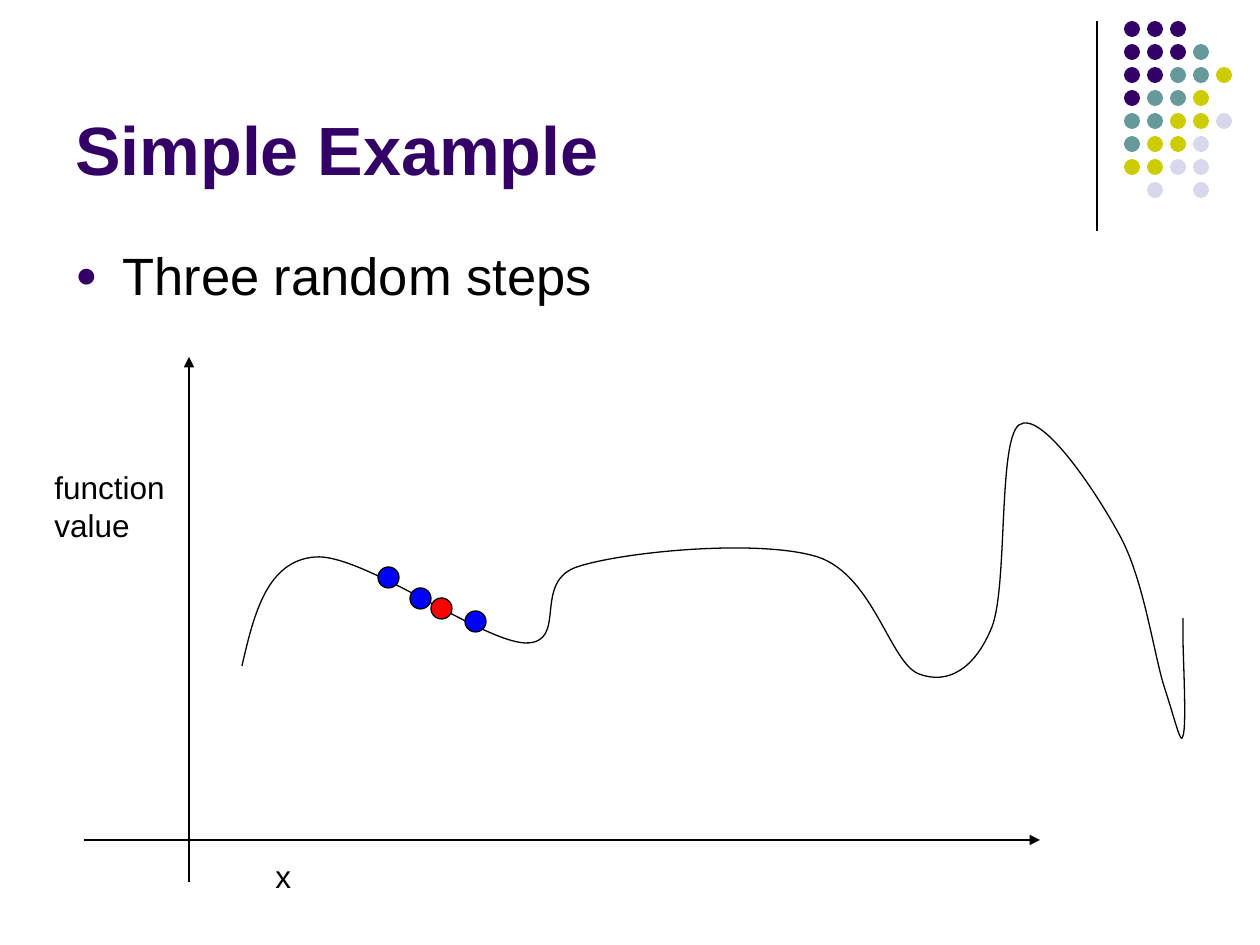
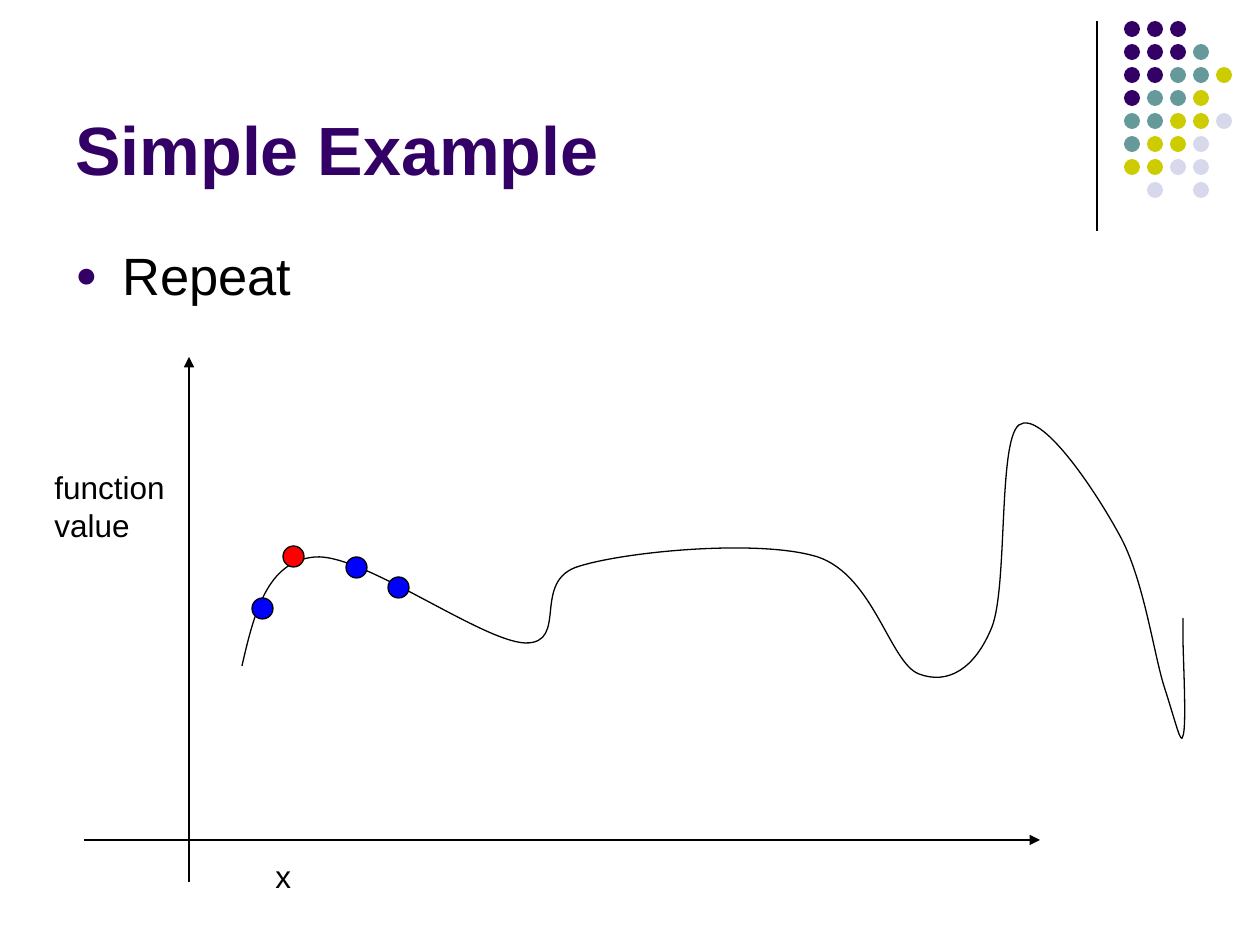
from lxml import etree
from pptx import Presentation
from pptx import util as u
from pptx.dml.color import RGBColor
from pptx.enum import shapes, text
from pptx.oxml.ns import qn

EMU_PER_PX = 914400 / 126
FONT = "Arial"

PURPLE = RGBColor(0x33, 0x00, 0x66)
TEAL = RGBColor(0x66, 0x99, 0x99)
YELLOW = RGBColor(0xCC, 0xCC, 0x00)
LAVENDER = RGBColor(0xD8, 0xD8, 0xEC)
BLACK = RGBColor(0x00, 0x00, 0x00)
RED = RGBColor(0xFF, 0x00, 0x00)
BLUE = RGBColor(0x00, 0x00, 0xFF)

# Boxes: left, top, width, height in px
TITLE_BOX = (63, 16, 1040, 179)
BODY_BOX = (63, 237, 1134, 607)
CORNER_BOX = (1097, 21, 136, 210)
PLOT_BOX = (42, 357, 1145, 525)

# One letter per dot, one string per row
DOT_ROWS = ["PPP", "PPPT", "PPTTY", "PTTY", "TTYYL", "TYYL", "YYLL", " L L"]
DOT_COLOURS = {"P": PURPLE, "T": TEAL, "Y": YELLOW, "L": LAVENDER}
DOT_INSET, DOT_PITCH, DOT_SIZE = 27, 23, 16

# Function curve within the plot: start, then control, control, end per segment
CURVE_START = (200, 309)
CURVE_SEGMENTS = [
    ((212, 257), (225, 204), (273, 200)),
    ((320, 196), (439, 284), (483, 286)),
    ((528, 287), (488, 223), (538, 209)),
    ((587, 194), (719, 182), (776, 200)),
    ((832, 219), (848, 306), (877, 317)),
    ((906, 328), (933, 312), (950, 270)),
    ((966, 229), (956, 84), (977, 68)),
    ((999, 52), (1053, 133), (1077, 177)),
    ((1102, 221), (1112, 299), (1123, 332)),
    ((1134, 366), (1139, 389), (1141, 379)),
    ((1145, 370), (1141, 298), (1141, 278)),
    ((1141, 259), (1141, 260), (1141, 263)),
]
MARKER_SIZE = 21

# Bullet, current point, random steps (marker corners within the plot)
SLIDES = [
    ("Three random steps", (389, 241), [(368, 231), (423, 254), (336, 210)]),
    ("Repeat", (241, 189), [(210, 241), (346, 220), (304, 200)]),
]


def px(*lengths):
    return [u.Emu(round(length * EMU_PER_PX)) for length in lengths]


def add_text(slide, box, lines, size, colour=BLACK, bold=False):
    frame = slide.shapes.add_textbox(*px(*box)).text_frame
    frame.word_wrap = True
    frame.text = "\n".join(lines)
    for paragraph in frame.paragraphs:
        font = paragraph.font
        font.name, font.size, font.bold = FONT, u.Pt(size), bold
        font.color.rgb = colour
    return frame


def add_label(slide, box, lines):
    frame = add_text(slide, box, lines, 18)
    frame.word_wrap = False
    frame.auto_size = text.MSO_AUTO_SIZE.SHAPE_TO_FIT_TEXT


def add_line(slide, start, end, arrow=False):
    line = slide.shapes.add_connector(
        shapes.MSO_CONNECTOR.STRAIGHT, *px(*start, *end))
    line.line.color.rgb = BLACK
    line.line.width = u.Pt(0.75)
    properties = line._element.spPr
    if arrow:
        etree.SubElement(properties.find(qn("a:ln")), qn("a:tailEnd"),
                         type="triangle")
    etree.SubElement(properties, qn("a:effectLst"))


def add_dot(parent, left, top, size, colour, outlined=False):
    dot = parent.shapes.add_shape(
        shapes.MSO_SHAPE.OVAL, *px(left, top, size, size))
    dot.shadow.inherit = False
    dot.fill.solid()
    dot.fill.fore_color.rgb = colour
    if outlined:
        dot.line.color.rgb = BLACK
        dot.line.width = u.Pt(0.75)
    else:
        dot.line.fill.background()


def add_corner(slide, box):
    """Vertical rule and the dot pattern beside it."""
    left, top, _, height = box
    add_line(slide, (left, top), (left, top + height))
    group = slide.shapes.add_group_shape()
    for row, letters in enumerate(DOT_ROWS):
        for column, letter in enumerate(letters):
            if letter in DOT_COLOURS:
                add_dot(group, left + DOT_INSET + column * DOT_PITCH,
                        top + row * DOT_PITCH, DOT_SIZE, DOT_COLOURS[letter])


def add_title(slide, box):
    frame = add_text(slide, box, ["Simple Example"], 39, PURPLE, bold=True)
    frame.vertical_anchor = text.MSO_ANCHOR.BOTTOM


def add_bullet(slide, box, wording):
    paragraph = add_text(slide, box, [wording], 30).paragraphs[0]
    paragraph.space_before = u.Pt(7.5)
    properties = paragraph._p.get_or_add_pPr()
    indent = px(47)[0]
    properties.set("marL", str(indent))
    properties.set("indent", str(-indent))
    colour = etree.SubElement(properties, qn("a:buClr"))
    etree.SubElement(colour, qn("a:srgbClr"), val=str(PURPLE))
    etree.SubElement(properties, qn("a:buSzPct"), val="70000")
    etree.SubElement(properties, qn("a:buFont"), typeface=FONT)
    etree.SubElement(properties, qn("a:buChar"), char="●")


def add_curve(slide, left, top):
    points = [CURVE_START] + [p for segment in CURVE_SEGMENTS for p in segment]
    first, *rest = [px(left + x, top + y) for x, y in points]
    builder = slide.shapes.build_freeform(*first)
    builder.add_line_segments(rest, close=False)
    curve = builder.convert_to_shape()
    curve.shadow.inherit = False
    curve.fill.background()
    curve.line.color.rgb = BLACK
    curve.line.width = u.Pt(0.75)

    # Join each three straight segments into one cubic
    outline = next(curve._element.iter(qn("a:path")))
    straights = outline.findall(qn("a:lnTo"))
    for index in range(0, len(straights), 3):
        cubic = etree.SubElement(outline, qn("a:cubicBezTo"))
        for straight in straights[index:index + 3]:
            cubic.append(straight[0])
            outline.remove(straight)


def add_plot(slide, box, current, steps):
    left, top, _, height = box
    add_curve(slide, left, top)

    # Axes and their labels
    axis_x, axis_y = left + 147, top + 483
    add_line(slide, (left + 42, axis_y), (left + 998, axis_y), arrow=True)
    add_label(slide, (left + 221, top + 494, 40, 50), ["x"])
    add_line(slide, (axis_x, top + height), (axis_x, top), arrow=True)
    add_label(slide, (left, top + 105, 136, 88), ["function", "value"])

    # Current point and random steps
    markers = [(current, RED)] + [(step, BLUE) for step in steps]
    for (x, y), colour in markers:
        add_dot(slide, left + x, top + y, MARKER_SIZE, colour, outlined=True)


def add_example_slide(presentation, bullet, current, steps):
    slide = presentation.slides.add_slide(presentation.slide_layouts[6])
    add_corner(slide, CORNER_BOX)
    add_title(slide, TITLE_BOX)
    add_bullet(slide, BODY_BOX, bullet)
    add_plot(slide, PLOT_BOX, current, steps)


def main():
    presentation = Presentation()
    presentation.slide_width, presentation.slide_height = px(1260, 945)
    for bullet, current, steps in SLIDES:
        add_example_slide(presentation, bullet, current, steps)
    presentation.save("out.pptx")


if __name__ == "__main__":
    main()
